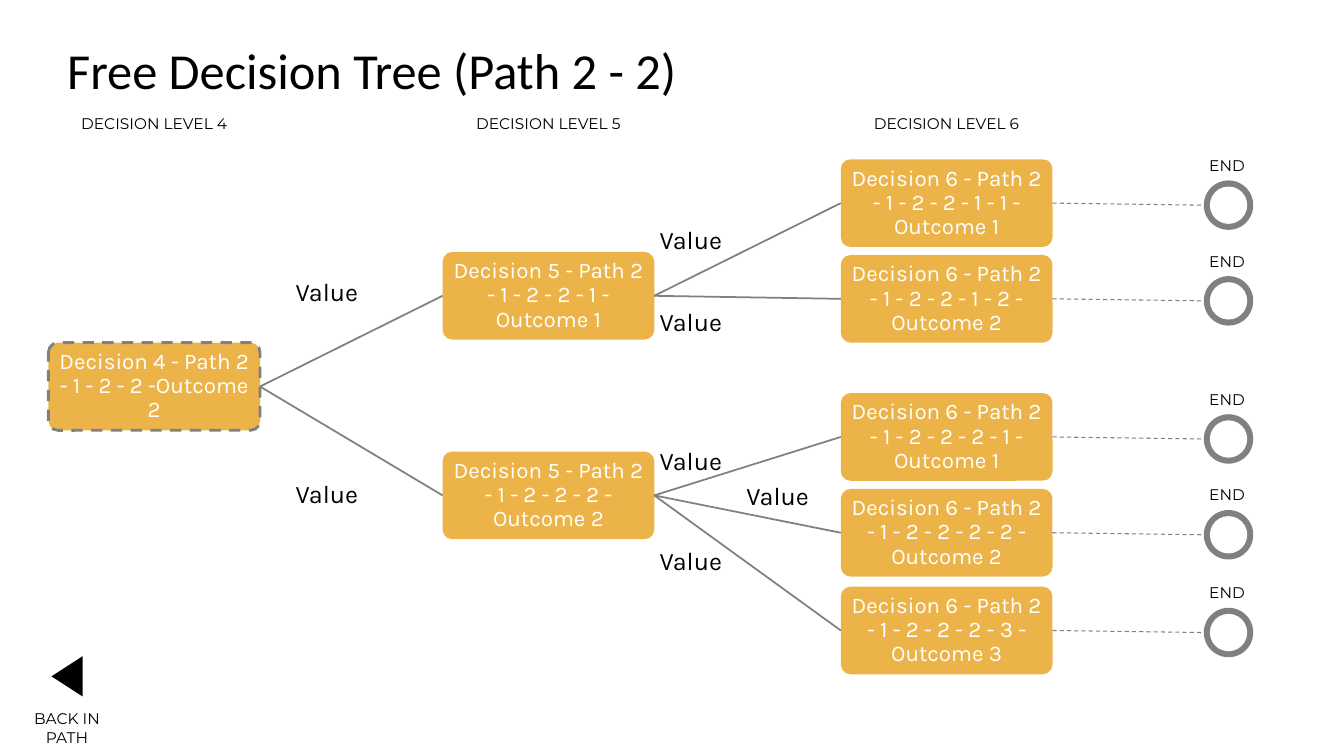
from dataclasses import dataclass
from typing import NamedTuple, Optional

from lxml import etree
from pptx import Presentation
from pptx.dml.color import RGBColor
from pptx.enum.dml import MSO_LINE
from pptx.enum.shapes import MSO_CONNECTOR, MSO_SHAPE
from pptx.enum.text import MSO_ANCHOR, MSO_AUTO_SIZE, PP_ALIGN
from pptx.oxml.ns import qn
from pptx.util import Inches, Pt

STRAIGHT = MSO_CONNECTOR.STRAIGHT
ROUNDED = MSO_SHAPE.ROUNDED_RECTANGLE
OVAL = MSO_SHAPE.OVAL
DASH = MSO_LINE.DASH
MIDDLE = MSO_ANCHOR.MIDDLE
FIT_SHAPE = MSO_AUTO_SIZE.SHAPE_TO_FIT_TEXT
LEFT, CENTER, RIGHT = PP_ALIGN.LEFT, PP_ALIGN.CENTER, PP_ALIGN.RIGHT
LEFT_SIDE, RIGHT_SIDE = 1, 3


@dataclass(frozen=True)
class Style:
    font: str
    size: float
    color: RGBColor


@dataclass(frozen=True)
class Theme:
    amber = RGBColor.from_string("ECB448")
    gray = RGBColor.from_string("808080")
    black = RGBColor.from_string("000000")
    white = RGBColor.from_string("FFFFFF")
    title = Style("Calibri", 36, black)
    decision = Style("Karla", 16, white)
    value = Style("Karla", 18, black)
    caption = Style("Montserrat", 11, black)
    root_line = 2
    branch_line = 1.25
    end_line = 0.75


class Spot(NamedTuple):
    left: float
    top: float


class Decision(NamedTuple):
    level: int
    top: float
    text: str
    parent: Optional[int] = None
    value: Optional[Spot] = None


THEME = Theme()
WIDTH, HEIGHT = Inches(13.33), Inches(7.5)
LEVEL_LEFT = {4: 3.6, 5: 32.93, 6: 62.56}
BOX_WIDTH, BOX_HEIGHT = 15.75, 11.6
VALUE_WIDTH, VALUE_HEIGHT = 12.98, 5.33
CAPTION_HEIGHT = 3.87
HEADER_TOP = 14.47
END_LEFT, END_DROP, END_SIZE = 89.57, 2.8, 3.68
RING = 0.45
END_CAPTION_LEFT, END_CAPTION_WIDTH, END_CAPTION_RISE = 84.25, 14.1, 1.1
LAST_LEVEL = 6

DECISIONS = [
    Decision(4, 45.33, "Decision 4 - Path 2 - 1 - 2 - 2 -Outcome 2"),
    Decision(5, 33.33, "Decision 5 - Path 2 - 1 - 2 - 2 - 1 - Outcome 1", 0, Spot(14.4, 35.87)),
    Decision(5, 59.73, "Decision 5 - Path 2 - 1 - 2 - 2 - 2 - Outcome 2", 0, Spot(14.4, 62.67)),
    Decision(6, 21.07, "Decision 6 - Path 2 - 1 - 2 - 2 - 1 - 1 - Outcome 1", 1, Spot(41.48, 29.07)),
    Decision(6, 33.73, "Decision 6 - Path 2 - 1 - 2 - 2 - 1 - 2 - Outcome 2", 1, Spot(41.48, 39.87)),
    Decision(6, 52, "Decision 6 - Path 2 - 1 - 2 - 2 - 2 - 1 - Outcome 1", 2, Spot(41.48, 58.27)),
    Decision(6, 64.67, "Decision 6 - Path 2 - 1 - 2 - 2 - 2 - 2 - Outcome 2", 2, Spot(47.94, 62.93)),
    Decision(6, 77.6, "Decision 6 - Path 2 - 1 - 2 - 2 - 2 - 3 - Outcome 3", 2, Spot(41.48, 71.47)),
]


def across(percent: float) -> int:
    return round(WIDTH * percent / 100)


def down(percent: float) -> int:
    return round(HEIGHT * percent / 100)


def write(frame, text: str, style: Style, align):
    frame.word_wrap = True
    para = frame.paragraphs[0]
    para.text = text
    para.alignment = align
    para.font.name = style.font
    para.font.size = Pt(style.size)
    para.font.color.rgb = style.color
    return para


def paint(shape, color: RGBColor) -> None:
    shape.shadow.inherit = False
    shape.fill.solid()
    shape.fill.fore_color.rgb = color
    shape.line.fill.background()


def add_label(page, text: str, spot: Spot, width: float, height: float, style: Style, align) -> None:
    box = page.shapes.add_textbox(across(spot.left), down(spot.top), across(width), down(height))
    write(box.text_frame, text, style, align)
    box.text_frame.auto_size = FIT_SHAPE


def add_line(page, start, end: tuple[int, int], weight: float):
    line = page.shapes.add_connector(STRAIGHT, 0, 0, *end)
    line.begin_connect(start, RIGHT_SIDE)
    line.line.color.rgb = THEME.gray
    line.line.width = Pt(weight)
    etree.SubElement(line._element.spPr, qn("a:effectLst"))
    return line


def add_decision(page, decision: Decision):
    box = page.shapes.add_shape(
        ROUNDED, across(LEVEL_LEFT[decision.level]), down(decision.top), across(BOX_WIDTH), down(BOX_HEIGHT)
    )
    box.adjustments[0] = 0.11
    paint(box, THEME.amber)
    if decision.parent is None:
        box.line.color.rgb = THEME.gray
        box.line.width = Pt(THEME.root_line)
        box.line.dash_style = DASH
    frame = box.text_frame
    frame.margin_left = frame.margin_right = Inches(0.06)
    frame.margin_top = frame.margin_bottom = Inches(0.06)
    frame.vertical_anchor = MIDDLE
    write(frame, decision.text, THEME.decision, CENTER).line_spacing = 0.9
    return box


def add_branch(page, parent, child, value: Spot) -> None:
    line = add_line(page, parent, (child.left, child.top), THEME.branch_line)
    line.end_connect(child, LEFT_SIDE)
    add_label(page, "Value", value, VALUE_WIDTH, VALUE_HEIGHT, THEME.value, RIGHT)


def add_end(page, box, top: float) -> None:
    left, ring_top, size = across(END_LEFT), down(top + END_DROP), across(END_SIZE)
    ring = page.shapes.add_group_shape()
    for inset, color in ((0, THEME.gray), (across(RING), THEME.white)):
        side = size - 2 * inset
        paint(ring.shapes.add_shape(OVAL, left + inset, ring_top + inset, side, side), color)
    line = add_line(page, box, (left, ring_top + size // 2), THEME.end_line)
    line.line.dash_style = DASH
    spot = Spot(END_CAPTION_LEFT, top - END_CAPTION_RISE)
    add_label(page, "END", spot, END_CAPTION_WIDTH, CAPTION_HEIGHT, THEME.caption, CENTER)


def add_title(page, text: str) -> None:
    title = page.shapes.title
    title.left, title.top = across(5), down(4)
    title.width, title.height = across(90), down(10.4)
    frame = title.text_frame
    frame.margin_left = frame.margin_right = frame.margin_top = frame.margin_bottom = 0
    frame.vertical_anchor = MIDDLE
    write(frame, text, THEME.title, LEFT)


def add_back_arrow(page) -> None:
    outline = page.shapes.build_freeform(across(6.15), down(86.8))
    outline.add_line_segments([(across(3.83), down(89.47)), (across(6.15), down(92.13))], close=True)
    paint(outline.convert_to_shape(), THEME.black)
    add_label(page, "BACK IN PATH", Spot(0.19, 93.2), 9.6, 6.27, THEME.caption, CENTER)


def main() -> None:
    deck = Presentation()
    deck.slide_width, deck.slide_height = WIDTH, HEIGHT
    page = deck.slides.add_slide(deck.slide_layouts[5])
    add_title(page, "Free Decision Tree (Path 2 - 2)")
    for level, left in LEVEL_LEFT.items():
        spot = Spot(left, HEADER_TOP)
        add_label(page, f"DECISION LEVEL {level}", spot, BOX_WIDTH, CAPTION_HEIGHT, THEME.caption, CENTER)
    boxes = [add_decision(page, decision) for decision in DECISIONS]
    for decision, box in zip(DECISIONS, boxes):
        if decision.parent is not None:
            add_branch(page, boxes[decision.parent], box, decision.value)
        if decision.level == LAST_LEVEL:
            add_end(page, box, decision.top)
    add_back_arrow(page)
    deck.save("out.pptx")


if __name__ == "__main__":
    main()
